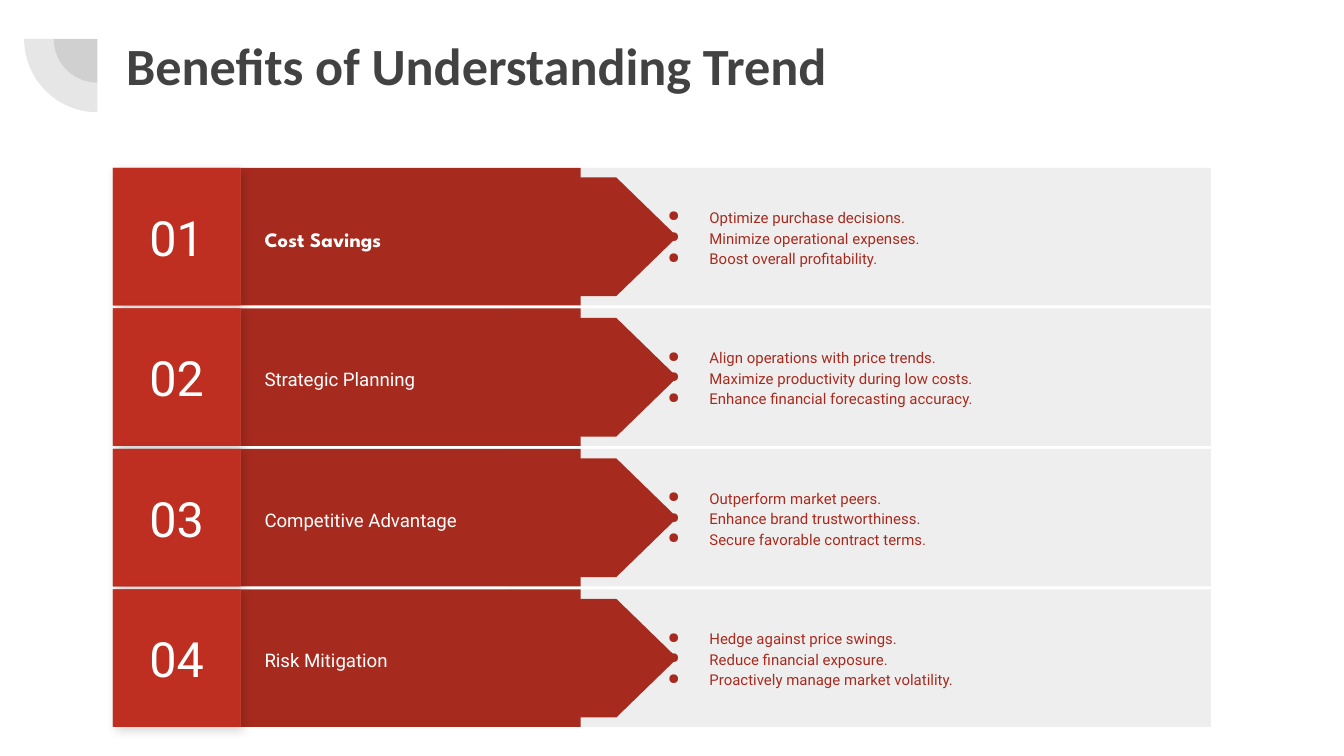
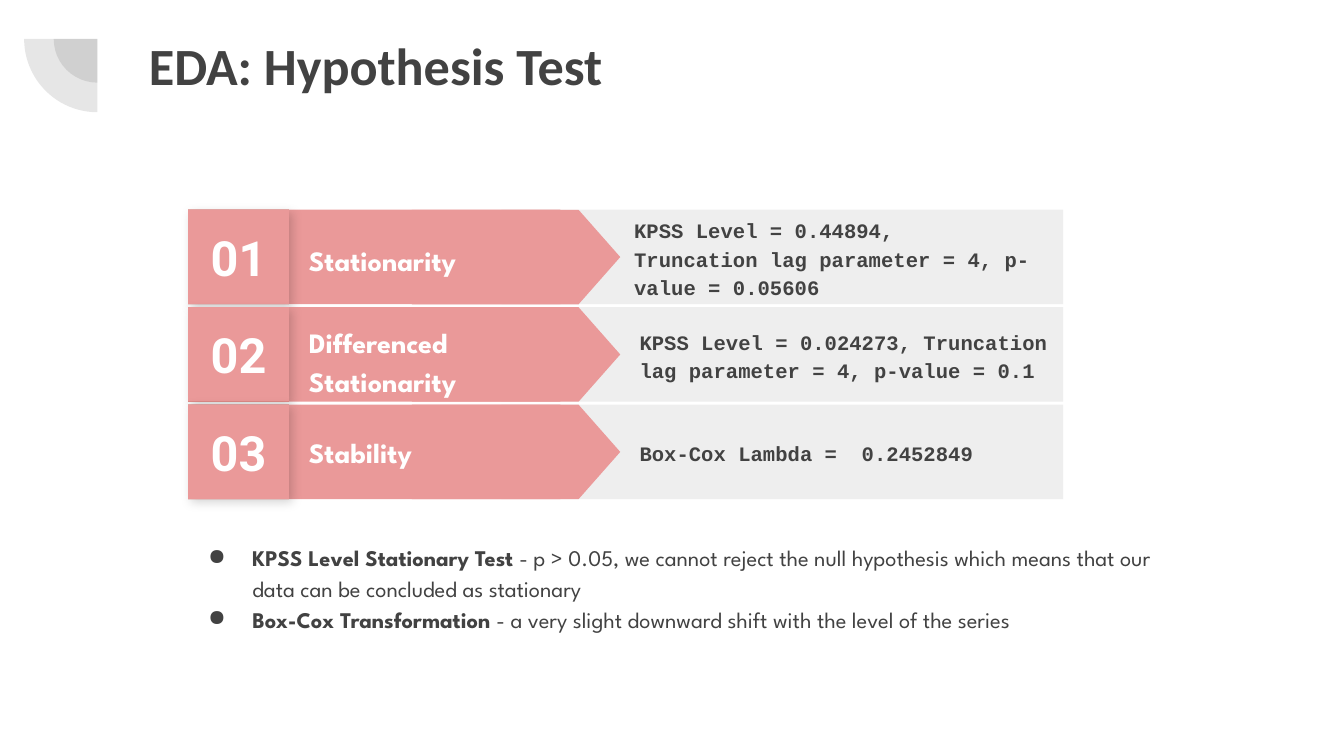
"""Build two slides of numbered arrow rows that share one title style and corner mark."""
from dataclasses import dataclass

from lxml.etree import SubElement
from pptx import Presentation
from pptx.dml.color import RGBColor
from pptx.enum.shapes import MSO_SHAPE as Shape
from pptx.enum.text import MSO_ANCHOR as Anchor, MSO_AUTO_SIZE as AutoSize, PP_ALIGN as Align
from pptx.oxml.ns import qn
from pptx.util import Emu, Inches, Pt

W, H = Inches(10), Inches(5.625)
COLORS = {
    "ink": "424242", "white": "FFFFFF", "band": "EEEEEE", "shade": "B02C20",
    "red": "BE2F22", "dark_red": "A72A1E", "pink": "EA9999", "black": "000000",
}


@dataclass
class Style:
    size: float
    font: str
    color: str
    bold: bool = False
    spacing: float = None
    after: float = None
    align: Align = None
    hang: float = None


@dataclass
class Grid:
    """Row layout: x pairs are (left, width), all in percent of the slide."""
    top: float
    pitch: float
    height: float
    band: tuple
    block: tuple
    arrow: tuple
    arrow_height: float
    plate: tuple
    block_color: str
    plate_color: str
    number: Style


TITLE = Style(28, "Calibri", "ink", True)
LABEL = Style(10, "Roboto", "white", spacing=1.15)
LEAD_LABEL = Style(11, "League Spartan", "white", True, 1.15, 12)
POINTS = Style(8, "Roboto", "dark_red", spacing=1.15, hang=0.31)
TEST_LABEL = Style(15, "League Spartan", "white", True, 1.15)
RESULT = Style(11, "Courier New", "ink", True, 1.15)
NOTES = Style(12, "League Spartan", "ink", spacing=1.15, hang=0.33)

BENEFIT_GRID = Grid(22.22, 18.58, 18.2, (37.7, 52.4), (17.9, 25.3), (27.7, 22.7), 15.7,
                    (8.4, 9.5), "dark_red", "red",
                    Style(26, "Roboto", "white", align=Align.CENTER))
TEST_GRID = Grid(27.75, 12.89, 12.5, (37.3, 41.8), (21.5, 20.2), (30.65, 15.5), 12.5,
                 (14, 7.5), "pink", "pink",
                 Style(26, "Roboto", "white", True, align=Align.CENTER))

BENEFITS = [
    ("Cost Savings", ["Optimize purchase decisions.", "Minimize operational expenses.",
                      "Boost overall profitability."]),
    ("Strategic Planning", ["Align operations with price trends.",
                            "Maximize productivity during low costs.",
                            "Enhance financial forecasting accuracy."]),
    ("Competitive Advantage", ["Outperform market peers.", "Enhance brand trustworthiness.",
                               "Secure favorable contract terms."]),
    ("Risk Mitigation", ["Hedge against price swings.", "Reduce financial exposure.",
                         "Proactively manage market volatility."]),
]
TESTS = [
    ("Stationarity", (1.96, 18, 8), 46.2,
     ["KPSS Level = 0.44894,", "Truncation lag parameter = 4, p-value = 0.05606"]),
    ("Differenced \vStationarity", (0, 28.1, 13.16), 46.6,
     ["KPSS Level = 0.024273, Truncation lag parameter = 4, p-value = 0.1"]),
    ("Stability", (1.6, 18, 8), 46.6, ["Box-Cox Lambda =  0.2452849"]),
]
TEST_NOTES = [
    ("KPSS Level Stationary Test", " - p > 0.05, we cannot reject the null hypothesis "
     "which means that our data can be concluded as stationary"),
    ("Box-Cox Transformation", " - a very slight downward shift with the level of the series"),
]


def rgb(name):
    return RGBColor.from_string(COLORS[name])


def place(x, y, w, h):
    return [Emu(round(v * side / 100)) for v, side in zip((x, y, w, h), (W, H, W, H))]


def add_bullet(p, style):
    pPr = p._p.get_or_add_pPr()
    pPr.set("marL", str(Inches(0.5)))
    pPr.set("indent", str(-Inches(style.hang)))
    clr = SubElement(pPr, qn("a:buClr"))
    SubElement(clr, qn("a:srgbClr"), val=COLORS[style.color])
    SubElement(pPr, qn("a:buChar"), char="●")


def write(tf, paragraphs, style, anchor=Anchor.TOP):
    """Fill a frame; a (lead, rest) pair becomes a bold lead and a plain rest."""
    tf.word_wrap = True
    tf.vertical_anchor = anchor
    tf.margin_left = tf.margin_right = tf.margin_top = tf.margin_bottom = Inches(0.1)
    for i, content in enumerate(paragraphs):
        p = tf.add_paragraph() if i else tf.paragraphs[0]
        if style.hang:
            add_bullet(p, style)
        p.alignment = style.align
        p.line_spacing = style.spacing
        if style.after:
            p.space_after = Pt(style.after)
        pair = isinstance(content, tuple)
        if pair:
            for part in content:
                p.add_run().text = part
        else:
            p.text = content
        for j, r in enumerate(p.runs):
            r.font.size, r.font.name = Pt(style.size), style.font
            r.font.bold = j == 0 if pair else style.bold
            r.font.color.rgb = rgb(style.color)


def add_text(s, box, paragraphs, style, anchor=Anchor.TOP, grow=False):
    tf = s.shapes.add_textbox(*place(*box)).text_frame
    write(tf, paragraphs, style, anchor)
    if grow:
        tf.auto_size = AutoSize.SHAPE_TO_FIT_TEXT


def add_solid(s, kind, bounds, color):
    sp = s.shapes.add_shape(kind, *bounds)
    sp.shadow.inherit = False
    sp.fill.solid()
    sp.fill.fore_color.rgb = rgb(color)
    sp.line.fill.background()
    return sp


def add_drop_shadow(sp):
    effects = sp._element.spPr.find(qn("a:effectLst"))
    shadow = SubElement(effects, qn("a:outerShdw"), blurRad=str(Pt(5.6)), dist=str(Pt(2.2)),
                        dir=str(45 * 60000), algn="bl", rotWithShape="0")
    clr = SubElement(shadow, qn("a:srgbClr"), val=COLORS["black"])
    SubElement(clr, qn("a:alpha"), val="17000")


def add_arrow(s, box, color):
    """Turn an upright connector so that it fills the box and points right."""
    x, y, w, h = place(*box)
    bounds = x + (w - h) // 2, y + (h - w) // 2, h, w
    add_solid(s, Shape.FLOWCHART_OFFPAGE_CONNECTOR, bounds, color).rotation = 270


def add_corner_mark(s):
    cx, cy = Inches(0.725), Inches(0.29)
    for size in (Inches(0.65), Inches(1.09)):
        sp = add_solid(s, Shape.PIE, (cx - size // 2, cy - size // 2, size, size), "ink")
        sp.adjustments[0], sp.adjustments[1] = 108, 162
        sp.rotation = 270
        clr = sp._element.spPr.find(qn("a:solidFill"))[0]
        SubElement(clr, qn("a:alpha"), val="13000")


def add_slide(prs, title, left):
    s = prs.slides.add_slide(prs.slide_layouts[6])
    add_corner_mark(s)
    add_text(s, (left, 2.67, 76.9, 19.38), [title], TITLE)
    return s


def add_row(s, grid, i):
    """Draw the band, arrow and number plate of row i and return its top."""
    y, h = grid.top + i * grid.pitch, grid.height

    def bar(span, color):
        x, w = span
        return add_solid(s, Shape.RECTANGLE, place(x, y, w, h), color)

    bar(grid.band, "band")
    bar(grid.block, grid.block_color)
    x, w = grid.arrow
    add_arrow(s, (x, y + (h - grid.arrow_height) / 2, w, grid.arrow_height), grid.block_color)
    add_drop_shadow(bar(grid.plate, "shade"))
    plate = bar(grid.plate, grid.plate_color)
    write(plate.text_frame, [f"{i + 1:02d}"], grid.number, Anchor.MIDDLE)
    return y


def build_benefits(prs):
    s = add_slide(prs, "Benefits of Understanding Trend", 8.4)
    for i, (label, points) in enumerate(BENEFITS):
        y = add_row(s, BENEFIT_GRID, i)
        add_text(s, (18.7, y + 2.13, 26.6, 14.04), [label],
                 LABEL if i else LEAD_LABEL, Anchor.MIDDLE)
        add_text(s, (46.8, y, 40.8, BENEFIT_GRID.height), points, POINTS, Anchor.MIDDLE)


def build_tests(prs):
    s = add_slide(prs, "EDA: Hypothesis Test", 10.1)
    for i, (label, (drop, w, h), left, result) in enumerate(TESTS):
        y = add_row(s, TEST_GRID, i)
        add_text(s, (22, y + drop, w, h), [label], TEST_LABEL, grow=True)
        add_text(s, (left, y, 32.5, TEST_GRID.height), result, RESULT, Anchor.MIDDLE)
    add_text(s, (12.8, 69.69, 76, 15.47), TEST_NOTES, NOTES, grow=True)


def main():
    prs = Presentation()
    prs.slide_width, prs.slide_height = W, H
    build_benefits(prs)
    build_tests(prs)
    prs.save("out.pptx")


if __name__ == "__main__":
    main()
